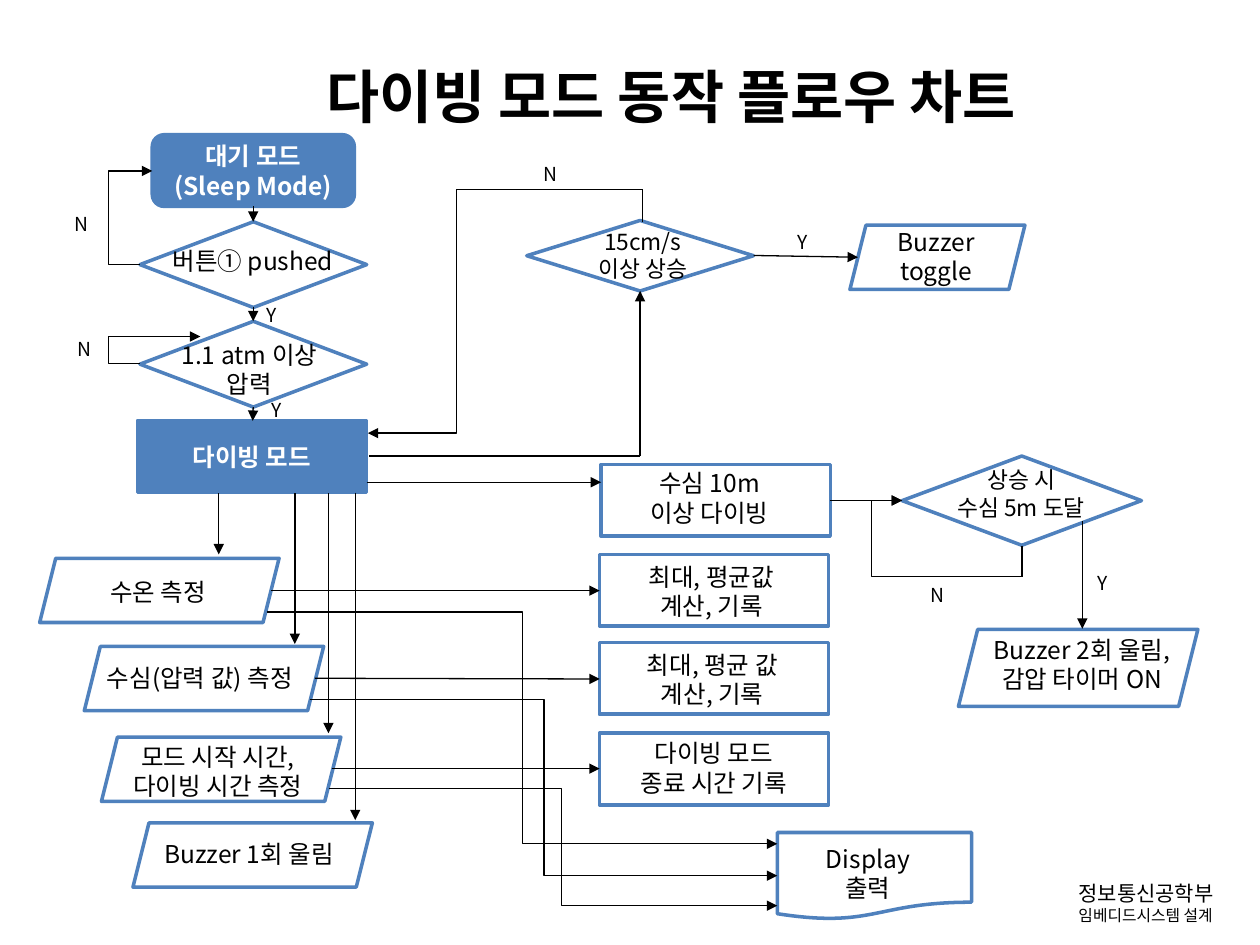
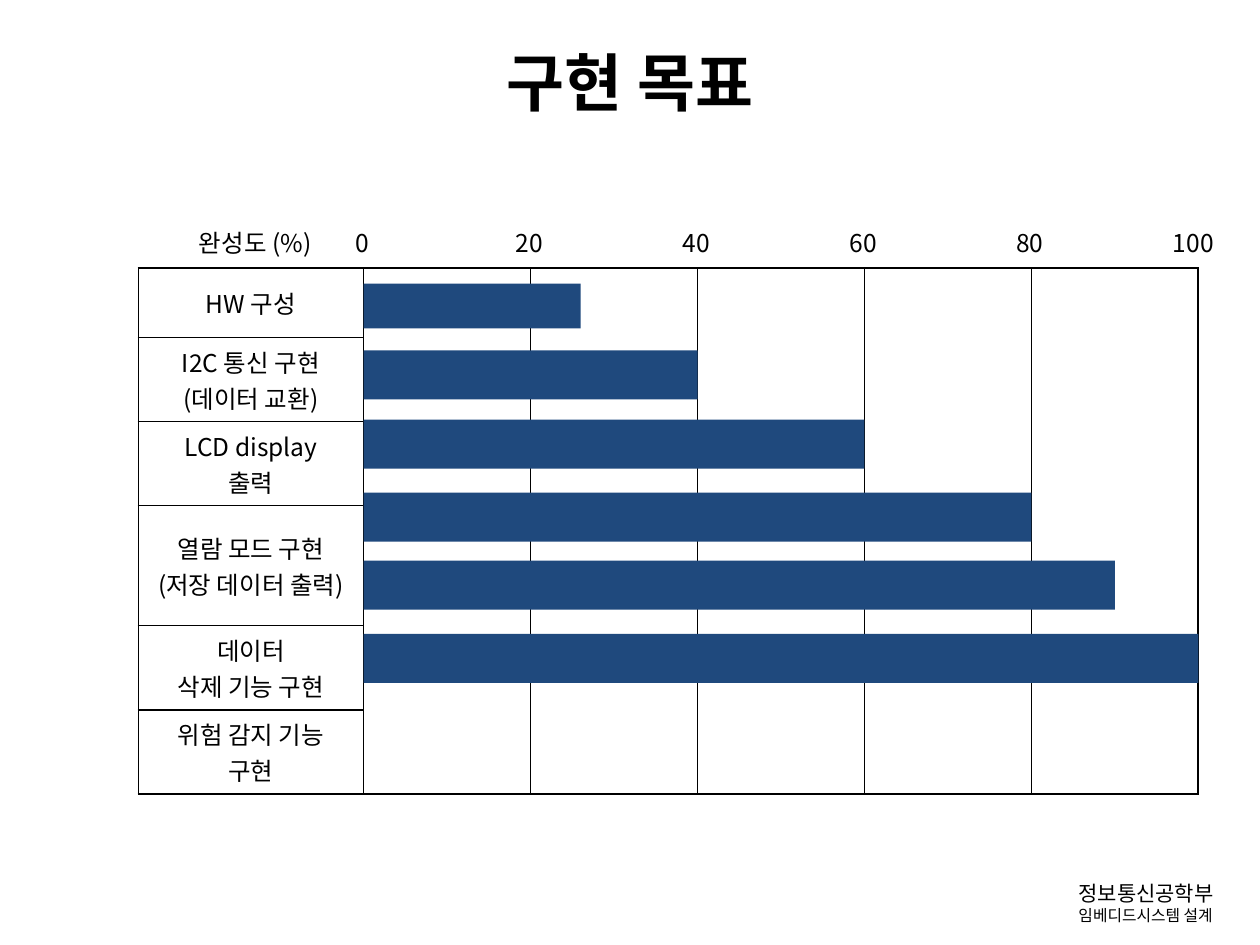
from dataclasses import dataclass

from lxml import etree
from pptx import Presentation
from pptx.dml.color import RGBColor
from pptx.enum.shapes import MSO_CONNECTOR, MSO_SHAPE
from pptx.enum.text import MSO_ANCHOR, PP_ALIGN
from pptx.oxml.ns import qn
from pptx.util import Pt

RECTANGLE = MSO_SHAPE.RECTANGLE
ROUNDED = MSO_SHAPE.ROUNDED_RECTANGLE
DIAMOND = MSO_SHAPE.DIAMOND
PARALLELOGRAM = MSO_SHAPE.PARALLELOGRAM
DOCUMENT = MSO_SHAPE.FLOWCHART_DOCUMENT
STRAIGHT, ELBOW = MSO_CONNECTOR.STRAIGHT, MSO_CONNECTOR.ELBOW
LEFT, CENTER = PP_ALIGN.LEFT, PP_ALIGN.CENTER
MIDDLE = MSO_ANCHOR.MIDDLE


@dataclass(frozen=True)
class Theme:
    font: str = "Noto Sans CJK KR"
    black: RGBColor = RGBColor(0, 0, 0)
    white: RGBColor = RGBColor(255, 255, 255)
    blue: RGBColor = RGBColor(0x4F, 0x81, 0xBD)
    navy: RGBColor = RGBColor(0x1F, 0x49, 0x7D)
    title: float = 36
    small_title: float = 33
    body: float = 14
    decision: float = 13
    branch: float = 11
    footer: float = 12
    footer_small: float = 9


theme = Theme()


def write_text(text_frame, text, size=theme.body, color=theme.black, bold=False,
               align=CENTER):
    text_frame.text = text
    text_frame.word_wrap = True
    for paragraph in text_frame.paragraphs:
        paragraph.alignment = align
        paragraph.line_spacing = 1.0
        for run in paragraph.runs:
            run.font.name = theme.font
            run.font.size = Pt(size)
            run.font.bold = bold
            run.font.color.rgb = color
            east_asian = etree.SubElement(run.font._element, qn("a:ea"))
            east_asian.set("typeface", theme.font)


def add_line(slide, start, end, bend_x=None, arrow=True):
    """Straight line, or an elbow whose upright part stands at bend_x."""
    kind = STRAIGHT if bend_x is None else ELBOW
    line = slide.shapes.add_connector(kind, *(Pt(value) for value in start + end))
    line.line.color.rgb = theme.black
    line.line.width = Pt(0.75)
    properties = line._element.spPr
    if bend_x is not None:
        ratio = (bend_x - start[0]) / (end[0] - start[0])
        adjustments = properties.find(qn("a:prstGeom")).get_or_add_avLst()
        guide = etree.SubElement(adjustments, qn("a:gd"))
        guide.set("name", "adj1")
        guide.set("fmla", f"val {round(ratio * 100000)}")
    if arrow:
        etree.SubElement(line.line._get_or_add_ln(), qn("a:tailEnd")).set("type", "triangle")
    etree.SubElement(properties, qn("a:effectLst"))


presentation = Presentation()
presentation.slide_width, presentation.slide_height = Pt(720), Pt(540)
blank = presentation.slide_layouts[6]

# Title and footer of both slides
titles = [
    ("다이빙 모드 동작 플로우 차트", theme.small_title, (140.5, 36, 486, 37.5)),
    ("구현 목표", theme.title, (36, 21.6, 648, 49.7)),
]
slides = []
for title, size, place in titles:
    slide = presentation.slides.add_slide(blank)
    slides.append(slide)
    box = slide.shapes.add_textbox(*(Pt(value) for value in place))
    write_text(box.text_frame, title, size, bold=True)
    box.text_frame.vertical_anchor = MIDDLE

    box = slide.shapes.add_textbox(Pt(609.2), Pt(499.7), Pt(110.8), Pt(32.4))
    write_text(box.text_frame, "정보통신공학부\n임베디드시스템 설계", theme.footer, align=LEFT)
    box.text_frame.paragraphs[1].runs[0].font.size = Pt(theme.footer_small)

flow_slide, goal_slide = slides

# Flow chart: filled mode boxes
modes = [
    (ROUNDED, "대기 모드\n(Sleep Mode)", (87, 77, 115.5, 41)),
    (RECTANGLE, "다이빙 모드", (78.5, 240.5, 131, 41)),
]
for kind, text, place in modes:
    shape = flow_slide.shapes.add_shape(kind, *(Pt(value) for value in place))
    shape.shadow.inherit = False
    shape.fill.solid()
    shape.fill.fore_color.rgb = theme.blue
    shape.line.color.rgb = theme.blue
    shape.line.width = Pt(2)
    write_text(shape.text_frame, text, color=theme.white, bold=True)
    shape.text_frame.vertical_anchor = MIDDLE

# Flow chart: outlined steps
steps = [
    (DIAMOND, 80, 126.7, 129.6, 49),
    (DIAMOND, 80, 183.6, 129.6, 49),
    (DIAMOND, 301, 126, 129.6, 40.3),
    (DIAMOND, 515.5, 260.6, 136.8, 51),
    (PARALLELOGRAM, 22.7, 319, 136.8, 36.7),
    (PARALLELOGRAM, 48.2, 369.4, 136.8, 36.7),
    (PARALLELOGRAM, 58, 421.2, 136.8, 36.7),
    (PARALLELOGRAM, 76, 470.2, 136.8, 36.7),
    (PARALLELOGRAM, 485.7, 128.7, 100, 36.7),
    (PARALLELOGRAM, 547.7, 359.7, 136.8, 44),
    (RECTANGLE, 343.5, 265.5, 131, 41),
    (RECTANGLE, 342.5, 316.8, 131, 41),
    (RECTANGLE, 342.5, 367.2, 131, 41),
    (RECTANGLE, 342.5, 419, 131, 41),
    (DOCUMENT, 444.2, 475.7, 111, 49.7),
]
for kind, *place in steps:
    shape = flow_slide.shapes.add_shape(kind, *(Pt(value) for value in place))
    shape.shadow.inherit = False
    shape.fill.background()
    shape.line.color.rgb = theme.blue
    shape.line.width = Pt(2)

# Flow chart: labels as text, centre, top, size
labels = [
    ("버튼① pushed", 144.5, 136.8, theme.body),
    ("1.1 atm 이상\n압력", 142.5, 190.8, theme.body),
    ("수온 측정", 90.3, 326.2, theme.body),
    ("수심(압력 값) 측정", 114.2, 375.1, theme.body),
    ("모드 시작 시간,\n다이빙 시간 측정", 124.6, 420.5, theme.body),
    ("Buzzer 1회 울림", 142.3, 475.9, theme.body),
    ("Buzzer\ntoggle", 535, 126, theme.body),
    ("수심 10m\n이상 다이빙", 405.4, 264.2, theme.body),
    ("최대, 평균값\n계산, 기록", 406.5, 317.5, theme.body),
    ("최대, 평균 값\n계산, 기록", 407, 367.9, theme.body),
    ("다이빙 모드\n종료 시간 기록", 408, 418.3, theme.body),
    ("Buzzer 2회 울림,\n감압 타이머 ON", 618.3, 359.3, theme.body),
    ("Display\n출력", 496, 478.8, theme.body),
    ("15cm/s\n이상 상승", 367.3, 126.7, theme.decision),
    ("상승 시\n수심 5m 도달", 583.5, 262.8, theme.decision),
    ("Y", 155, 170, theme.branch),
    ("Y", 158.3, 224, theme.branch),
    ("Y", 458.5, 128.2, theme.branch),
    ("Y", 630, 322.6, theme.branch),
    ("N", 46.5, 118, theme.branch),
    ("N", 48, 189.4, theme.branch),
    ("N", 314.6, 89.3, theme.branch),
    ("N", 535.5, 329.8, theme.branch),
]
for text, center, top, size in labels:
    width = 40 if size == theme.branch else 140
    height = 7 + 17 * len(text.split("\n"))
    box = flow_slide.shapes.add_textbox(Pt(center - width / 2), Pt(top), Pt(width), Pt(height))
    write_text(box.text_frame, text, size)

# Flow chart: straight arrows
arrows = [
    ((144.7, 118), (144.7, 126.7)),
    ((144.7, 175.7), (144.7, 183.6)),
    ((144.7, 232.6), (144.4, 240.5)),
    ((125, 282), (125, 316.8)),
    ((168.5, 282), (168.5, 368)),
    ((187.7, 282), (187.7, 419)),
    ((203, 281.5), (203, 468.7)),
    ((430.6, 146), (490.3, 147)),
    ((209.5, 275.6), (343.5, 275.6)),
    ((474.5, 286), (515.5, 286)),
    ((618.5, 298), (618.5, 359.3)),
    ((154.8, 337.5), (342.7, 337.5)),
    ((180, 387.6), (342.7, 388)),
    ((190, 439.2), (342.7, 439.2)),
    ((365.8, 260.6), (365.8, 166.3)),
]
for start, end in arrows:
    add_line(flow_slide, start, end)

# Flow chart: plain stretches that lead into an arrow
for start, end in [
    ((211, 260.6), (365.8, 260.6)),
    ((367.2, 126.7), (367.2, 108.5)),
    ((584, 311.8), (584, 329.5)),
]:
    add_line(flow_slide, start, end, arrow=False)

# Flow chart: elbow arrows
elbows = [
    ((80, 151.2), (87, 97.7), 62),
    ((80, 207.7), (114.5, 192.3), 62),
    ((367.2, 108.5), (210.2, 247.5), 261),
    ((584, 329.5), (515.5, 286), 498),
    ((152.6, 349.7), (444.2, 482.2), 298.3),
    ((177, 399.6), (444.2, 500.4), 311),
    ((188, 450.7), (444.2, 517.5), 321),
]
for start, end, bend_x in elbows:
    add_line(flow_slide, start, end, bend_x)

# Goals: table with the tasks at the left and one tall column per 20 %
tasks = [
    ("HW 구성", 39.6),
    ("I2C 통신 구현\n(데이터 교환)", 48.1),
    ("LCD display\n출력", 48.1),
    ("열람 모드 구현\n(저장 데이터 출력)", 68.6),
    ("데이터\n삭제 기능 구현", 48.1),
    ("위험 감지 기능\n구현", 48.1),
]
table_left, task_width, step_width = 79, 128.8, 95.4
axis_left = table_left + task_width
table = goal_slide.shapes.add_table(
    len(tasks), 6, Pt(table_left), Pt(153.2),
    Pt(task_width + 5 * step_width), Pt(sum(height for _, height in tasks))).table
table.first_row = table.horz_banding = False
for index, column in enumerate(table.columns):
    column.width = Pt(step_width if index else task_width)
for row, (task, height) in zip(table.rows, tasks):
    row.height = Pt(height)
    task_cell = row.cells[0]
    write_text(task_cell.text_frame, task)
    task_cell.vertical_anchor = MIDDLE
    task_cell.margin_left = task_cell.margin_right = Pt(10)
for column in range(1, 6):
    table.cell(0, column).merge(table.cell(len(tasks) - 1, column))
for cell in table.iter_cells():
    properties = cell._tc.get_or_add_tcPr()
    for side in ("lnL", "lnR", "lnT", "lnB"):
        border = etree.SubElement(properties, qn(f"a:{side}"))
        border.set("w", str(Pt(1)))
        fill = etree.SubElement(border, qn("a:solidFill"))
        etree.SubElement(fill, qn("a:srgbClr")).set("val", str(theme.black))
    cell.fill.background()

# Goals: progress bars as top, height, percent
bars = [
    (162, 25.7, 26),
    (200.2, 28, 40),
    (239.8, 28, 60),
    (281.5, 28, 80),
    (320.4, 28, 90),
    (362.2, 28, 100),
]
for top, height, percent in bars:
    bar = goal_slide.shapes.add_shape(
        RECTANGLE, Pt(axis_left), Pt(top), Pt(percent / 20 * step_width), Pt(height))
    bar.shadow.inherit = False
    bar.fill.solid()
    bar.fill.fore_color.rgb = theme.navy
    bar.line.fill.background()

# Goals: scale above the table
scale = [("완성도 (%)", 145.8, 110)]
scale += [(str(20 * step), axis_left - 0.8 + step * step_width, 58) for step in range(5)]
scale.append(("100", 681.9, 58))
for text, center, width in scale:
    box = goal_slide.shapes.add_textbox(Pt(center - width / 2), Pt(126.7), Pt(width), Pt(24.5))
    write_text(box.text_frame, text)

presentation.save("out.pptx")
